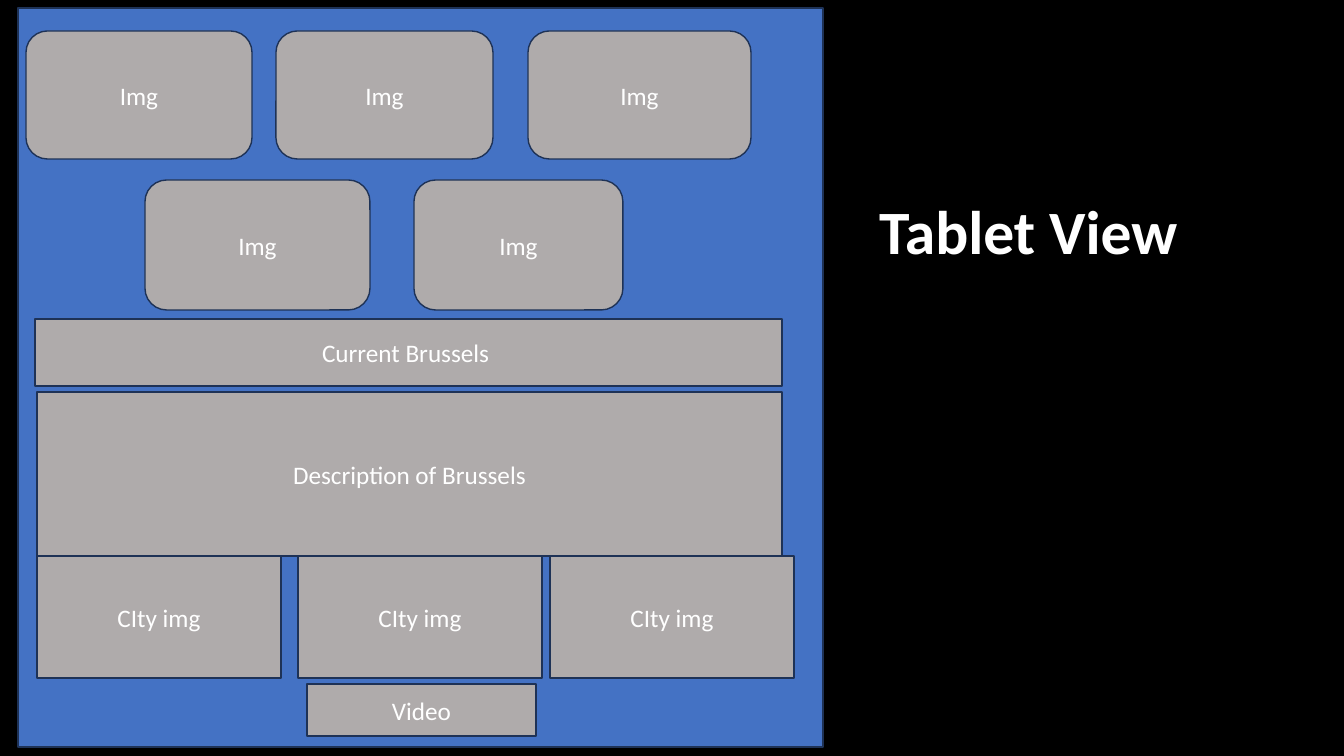
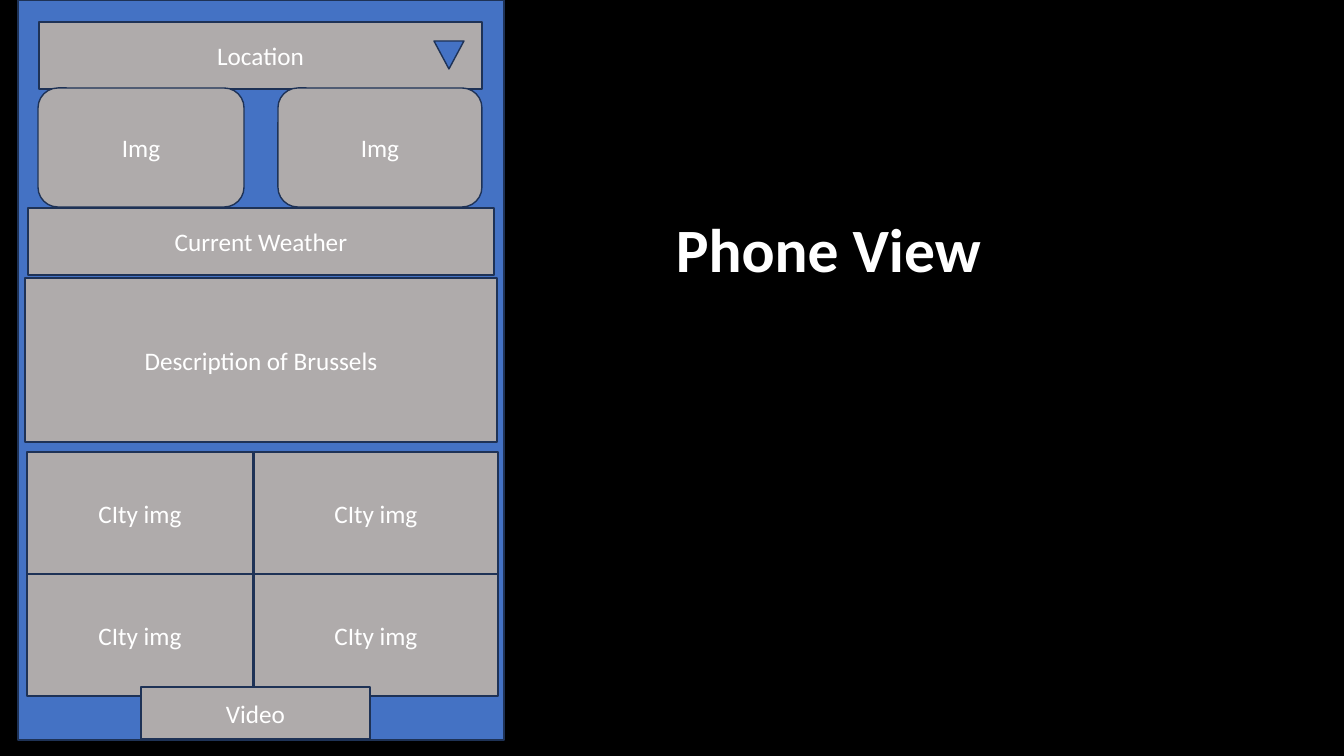
import dataclasses
import typing

import pptx
import pptx.dml.color
import pptx.enum.shapes
import pptx.enum.text
import pptx.util

SHAPE = pptx.enum.shapes.MSO_SHAPE
ANCHOR = pptx.enum.text.MSO_ANCHOR
EMU_PER_PIXEL = 914400 / 100.8
PAGE_WIDTH, PAGE_HEIGHT = 1344, 756
FONT = "Calibri"
BLACK, WHITE = "000000", "FFFFFF"
BLUE, GREY, NAVY = "4472C4", "AFABAB", "1E3256"
TITLE_WIDTH, TITLE_HEIGHT = 383, 85
BAR_HEIGHT, DESCRIPTION_HEIGHT, CITY_HEIGHT, VIDEO_HEIGHT = 67, 164, 122, 52
CITY_WIDTH, VIDEO_WIDTH = 244, 229


class Box(typing.NamedTuple):
    left: int
    top: int
    width: int
    height: int


class Column(typing.NamedTuple):
    left: int
    width: int


@dataclasses.dataclass(frozen=True)
class Row:
    label: str
    top: int
    height: int
    columns: tuple[Column, ...]
    outline: SHAPE = SHAPE.RECTANGLE


@dataclasses.dataclass(frozen=True)
class View:
    title: str
    title_left: int
    title_top: int
    panel: Box
    rows: tuple[Row, ...]
    arrow: Box | None = None


def pixels(count: int) -> pptx.util.Emu:
    return pptx.util.Emu(round(count * EMU_PER_PIXEL))


def colour(value: str) -> pptx.dml.color.RGBColor:
    return pptx.dml.color.RGBColor.from_string(value)


def write(shape, text: str, size: int, bold: bool = False) -> None:
    shape.text_frame.text = text
    para = shape.text_frame.paragraphs[0]
    para.alignment = pptx.enum.text.PP_ALIGN.CENTER
    para.font.name = FONT
    para.font.size = pptx.util.Pt(size)
    para.font.bold = bold
    para.font.color.rgb = colour(WHITE)


def add_block(page, outline: SHAPE, box: Box, fill: str, label: str = "") -> None:
    shape = page.shapes.add_shape(outline, *map(pixels, box))
    shape.shadow.inherit = False
    shape.fill.solid()
    shape.fill.fore_color.rgb = colour(fill)
    shape.line.color.rgb = colour(NAVY)
    shape.line.width = pptx.util.Pt(1)
    if label:
        shape.text_frame.vertical_anchor = ANCHOR.MIDDLE
        write(shape, label, 18)


def add_row(page, row: Row) -> None:
    for column in row.columns:
        box = Box(column.left, row.top, column.width, row.height)
        add_block(page, row.outline, box, GREY, row.label)


def add_title(page, view: View) -> None:
    title = page.shapes.title
    title.left, title.top = pixels(view.title_left), pixels(view.title_top)
    title.width, title.height = pixels(TITLE_WIDTH), pixels(TITLE_HEIGHT)
    frame = title.text_frame
    frame.word_wrap = True
    frame.auto_size = pptx.enum.text.MSO_AUTO_SIZE.SHAPE_TO_FIT_TEXT
    frame.vertical_anchor = ANCHOR.TOP
    write(title, view.title, 44, bold=True)


def add_view(deck, view: View) -> None:
    page = deck.slides.add_slide(deck.slide_layouts.get_by_name("Title Only"))
    add_title(page, view)
    add_block(page, SHAPE.RECTANGLE, view.panel, BLUE)
    for row in view.rows:
        add_row(page, row)
    if view.arrow:
        add_block(page, SHAPE.FLOWCHART_MERGE, view.arrow, BLUE)


def images(top: int, height: int, *columns: Column) -> Row:
    return Row("Img", top, height, columns, SHAPE.ROUNDED_RECTANGLE)


def bar(label: str, top: int, column: Column) -> Row:
    return Row(label, top, BAR_HEIGHT, (column,))


def description(top: int, column: Column) -> Row:
    return Row("Description of Brussels", top, DESCRIPTION_HEIGHT, (column,))


def cities(top: int, *columns: Column) -> Row:
    return Row("CIty img", top, CITY_HEIGHT, columns)


def video(top: int, left: int) -> Row:
    return Row("Video", top, VIDEO_HEIGHT, (Column(left, VIDEO_WIDTH),))


PHONE_CITY_TOP = 452
PHONE_CITIES = (Column(27, 226), Column(254, CITY_WIDTH))

TABLET = View(
    "Tablet View", 837, 188, Box(18, 8, 805, 739),
    (
        images(31, 128, Column(26, 226), Column(276, 217), Column(528, 223)),
        images(180, 130, Column(145, 225), Column(414, 209)),
        bar("Current Brussels\u00a0", 319, Column(35, 747)),
        description(392, Column(37, 745)),
        cities(556, *(Column(left, CITY_WIDTH) for left in (37, 298, 550))),
        video(684, 307),
    ),
)
PHONE = View(
    "Phone View", 637, 206, Box(18, 0, 486, 740),
    (
        bar("Location", 22, Column(39, 443)),
        bar("Current Weather", 208, Column(28, 466)),
        description(278, Column(25, 472)),
        cities(PHONE_CITY_TOP, *PHONE_CITIES),
        cities(PHONE_CITY_TOP + CITY_HEIGHT, *PHONE_CITIES),
        images(88, 119, Column(38, 206), Column(278, 204)),
        video(687, 141),
    ),
    arrow=Box(434, 41, 30, 28),
)

deck = pptx.Presentation()
deck.slide_width, deck.slide_height = pixels(PAGE_WIDTH), pixels(PAGE_HEIGHT)
backdrop = deck.slide_master.background.fill
backdrop.solid()
backdrop.fore_color.rgb = colour(BLACK)
for view in (TABLET, PHONE):
    add_view(deck, view)
deck.save("out.pptx")
